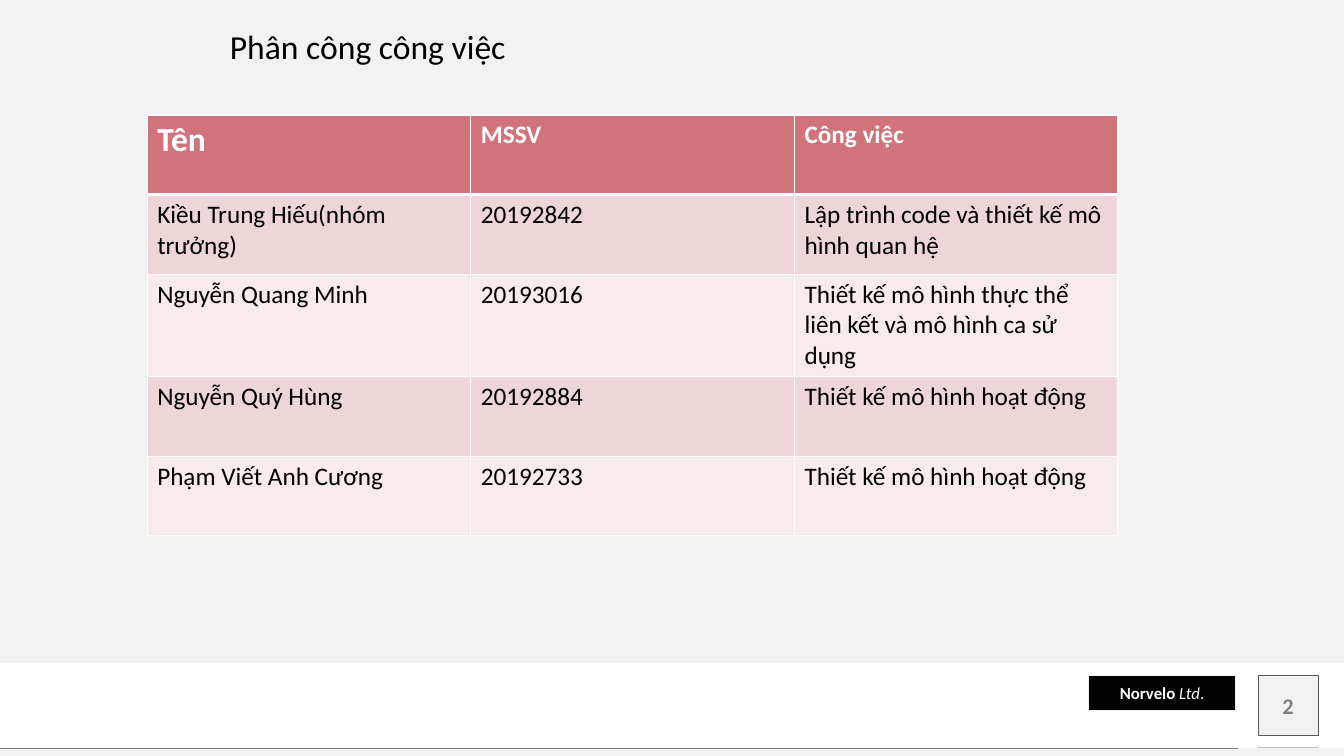
from lxml import etree
from pptx import Presentation
from pptx.dml.color import RGBColor
from pptx.enum import shapes, text
from pptx.oxml import ns
from pptx.util import Inches, Pt

WHITE = RGBColor(0xFF, 0xFF, 0xFF)
BLACK = RGBColor(0, 0, 0)
PALE = RGBColor(0xF2, 0xF2, 0xF2)
SILVER = RGBColor(0xBF, 0xBF, 0xBF)
GREY = RGBColor(0x80, 0x80, 0x80)
DARK = RGBColor(0x59, 0x59, 0x59)
ROSE = RGBColor(0xD1, 0x73, 0x7B)
BANDS = [RGBColor(0xEE, 0xD5, 0xD7), RGBColor(0xF7, 0xEB, 0xEC)]
MID = text.MSO_ANCHOR.MIDDLE


def write(frame, words, size=18, color=BLACK, bold=False, italic=False,
          align=text.PP_ALIGN.LEFT):
    para = frame.paragraphs[0]
    para.alignment = align
    run = para.add_run()
    run.text = words
    font = run.font
    font.name, font.size = "Calibri", Pt(size)
    font.bold, font.italic = bold, italic
    font.color.rgb = color


def border(cell, side, width):
    props = cell._tc.get_or_add_tcPr()
    line = etree.SubElement(props, ns.qn("a:ln" + side), w=str(Pt(width)))
    fill = etree.SubElement(line, ns.qn("a:solidFill"))
    etree.SubElement(fill, ns.qn("a:srgbClr"), val=str(WHITE))


deck = Presentation()
deck.slide_width, deck.slide_height = Inches(13.33), Inches(7.5)
slide = deck.slides.add_slide(deck.slide_layouts[5])
slide.background.fill.solid()
slide.background.fill.fore_color.rgb = WHITE

# Panels: number box, bottom strip, name plate, backdrop
panels = []
for left, top, wide, high, color, edge, width in [
    (12.48, 6.7, 0.59, 0.59, PALE, DARK, 0.25),
    (0, 7.42, 13.33, 0.08, PALE, None, 0),
    (10.8, 6.7, 1.45, 0.35, BLACK, PALE, 0.75),
    (0, 0, 13.33, 6.58, PALE, None, 0),
]:
    panel = slide.shapes.add_shape(
        shapes.MSO_SHAPE.RECTANGLE,
        Inches(left), Inches(top), Inches(wide), Inches(high))
    panel.shadow.inherit = False
    panel.fill.solid()
    panel.fill.fore_color.rgb = color
    if edge is None:
        panel.line.fill.background()
    else:
        panel.line.color.rgb = edge
        panel.line.width = Pt(width)
    panels.append(panel)

# Name plate
plate = panels[2].text_frame
plate.word_wrap = False
plate.vertical_anchor = MID
for words, bold, italic in [("Norvelo ", True, False), ("Ltd", False, True),
                            (".", False, False)]:
    write(plate, words, size=12, color=WHITE, bold=bold, italic=italic,
          align=text.PP_ALIGN.CENTER)

# Footer rules
for start, end, high, color in [(0, 12.28, 7.42, GREY),
                                (12.48, 13.07, 7.41, SILVER)]:
    rule = slide.shapes.add_connector(
        shapes.MSO_CONNECTOR.STRAIGHT,
        Inches(start), Inches(high), Inches(end), Inches(high))
    rule.line.color.rgb = color
    rule.line.width = Pt(0.5)
    etree.SubElement(rule._element.spPr, ns.qn("a:effectLst"))

# Slide number
box = slide.shapes.add_textbox(
    Inches(12.48), Inches(6.8), Inches(0.59), Inches(0.4))
frame = box.text_frame
frame.word_wrap = True
frame.vertical_anchor = MID
frame.margin_left = frame.margin_right = 0
frame.margin_top = frame.margin_bottom = 0
write(frame, "2", size=16, color=GREY, bold=True, align=text.PP_ALIGN.CENTER)

# Title, brought in front of the backdrop
title = slide.shapes.title
title.element.getparent().append(title.element)
title.left, title.top = Inches(2.18), Inches(0.21)
title.width, title.height = Inches(5.54), Inches(0.5)
title.text_frame.word_wrap = True
title.text_frame.auto_size = text.MSO_AUTO_SIZE.NONE
title.text_frame.vertical_anchor = text.MSO_ANCHOR.TOP
write(title.text_frame, "Phân công công việc", size=24)

# Task table
rows = [
    ("Tên", "MSSV", "Công việc"),
    ("Kiều Trung Hiếu(nhóm trưởng)", "20192842",
     "Lập trình code và thiết kế mô hình quan hệ"),
    ("Nguyễn Quang Minh", "20193016",
     "Thiết kế mô hình thực thể liên kết và mô hình ca sử dụng"),
    ("Nguyễn Quý Hùng", "20192884", "Thiết kế mô hình hoạt động"),
    ("Phạm Viết Anh Cương", "20192733", "Thiết kế mô hình hoạt động"),
]
table = slide.shapes.add_table(
    len(rows), 3, Inches(1.46), Inches(1.14), Inches(9.63), Inches(4.15)).table
table.first_row = table.horz_banding = False
for col in table.columns:
    col.width = Inches(3.21)
for r, row in enumerate(rows):
    table.rows[r].height = Inches(0.99 if r == 2 else 0.79)
    head = r == 0
    for c, words in enumerate(row):
        cell = table.cell(r, c)
        for side in "LRTB":
            thick = (r, side) in [(0, "B"), (1, "T")]
            border(cell, side, 3 if thick else 1)
        cell.fill.solid()
        cell.fill.fore_color.rgb = ROSE if head else BANDS[(r - 1) % 2]
        write(cell.text_frame, words, size=24 if head and c == 0 else 18,
              color=WHITE if head else BLACK, bold=head)

deck.save("out.pptx")
